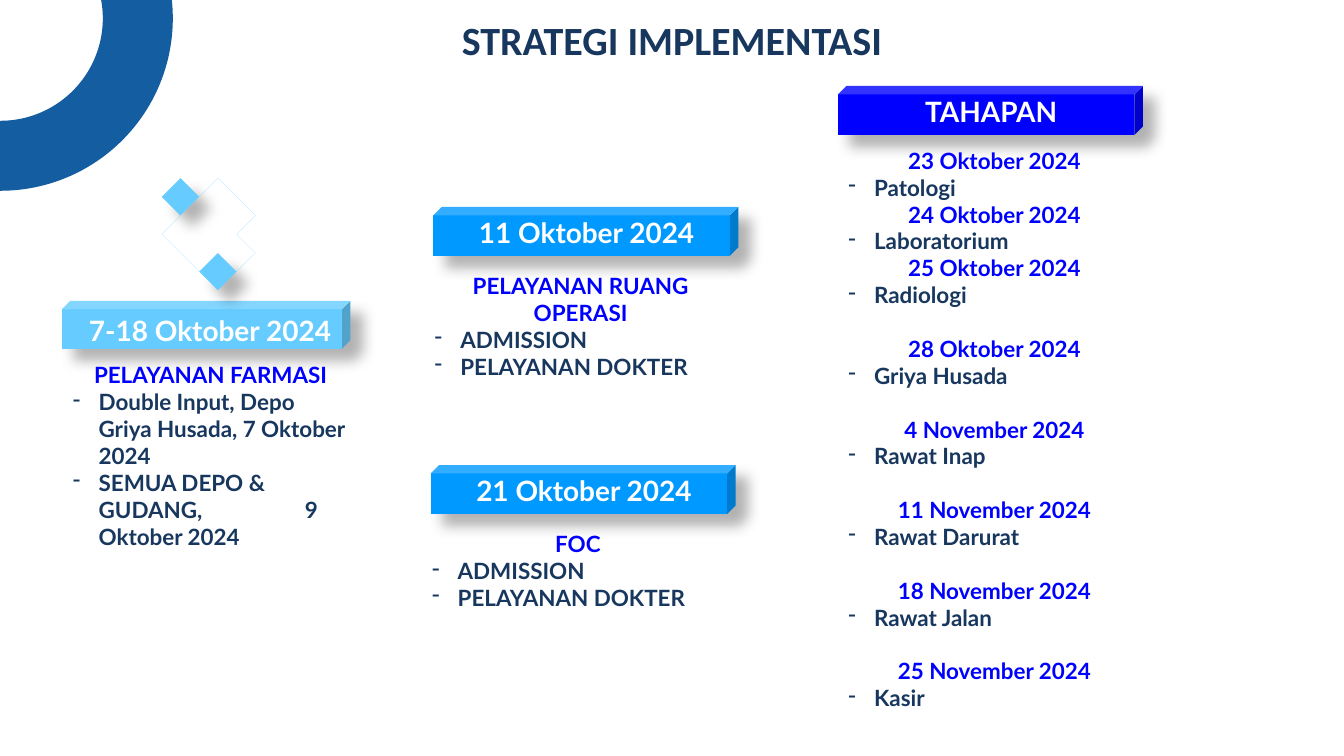
from dataclasses import dataclass
from math import cos, radians, sin

from lxml import etree
from pptx import Presentation
from pptx.dml.color import RGBColor
from pptx.enum.shapes import MSO_SHAPE
from pptx.enum.text import MSO_ANCHOR, MSO_AUTO_SIZE, PP_ALIGN
from pptx.oxml import parse_xml
from pptx.oxml.ns import nsdecls, qn
from pptx.util import Cm, Pt

CUBE, OVAL = MSO_SHAPE.CUBE, MSO_SHAPE.OVAL
LEFT, CENTER = PP_ALIGN.LEFT, PP_ALIGN.CENTER
TOP, GROW = MSO_ANCHOR.TOP, MSO_AUTO_SIZE.SHAPE_TO_FIT_TEXT

NAVY = RGBColor(0x17, 0x37, 0x5E)
RING_BLUE = RGBColor(0x14, 0x5D, 0xA0)
SKY = RGBColor(0x66, 0xCC, 0xFF)
AZURE = RGBColor(0x00, 0x99, 0xFF)
BLUE = RGBColor(0x00, 0x00, 0xFF)
WHITE = RGBColor(0xFF, 0xFF, 0xFF)

BODY_SIZE = 24
LINE_GAP = 28.8
INDENT = Cm(0.97)
TAB_STOP = Cm(8.76)


@dataclass
class Section:
    heading: str
    items: list[str]
    gap: float = 0


@dataclass
class Card:
    label: str
    left: float
    top: float
    color: RGBColor
    sections: list[Section]
    body_dx: float
    body_dy: float
    body_height: float
    width: float = 11.53
    height: float = 1.85
    label_dx: float = 0.41
    label_dy: float = 0.21


SERVICES = ["ADMISSION", "PELAYANAN DOKTER"]
CARDS = [
    Card("7-18 Oktober 2024", 2.34, 11.38, SKY,
         [Section("PELAYANAN FARMASI",
                  ["Double Input, Depo Griya Husada, 7 Oktober 2024",
                   "SEMUA DEPO & GUDANG,\t9 Oktober 2024"])],
         0.17, 2.16, 5.38, width=10.9, height=1.8, label_dx=0.53, label_dy=0.36),
    Card("TAHAPAN", 31.67, 3.25, BLUE,
         [Section("23 Oktober 2024", ["Patologi"]),
          Section("24 Oktober 2024", ["Laboratorium"]),
          Section("25 Oktober 2024", ["Radiologi"]),
          Section("28 Oktober 2024", ["Griya Husada"], LINE_GAP),
          Section("4 November 2024", ["Rawat Inap"], LINE_GAP),
          Section("11 November 2024", ["Rawat Darurat"], LINE_GAP),
          Section("18 November 2024", ["Rawat Jalan"], LINE_GAP),
          Section("25 November 2024", ["Kasir"], LINE_GAP)],
         0.15, 2.18, 22.83),
    Card("11 Oktober 2024", 16.38, 7.82, AZURE,
         [Section("PELAYANAN RUANG OPERASI", SERVICES)], -0.2, 2.35, 3.33),
    Card("21 Oktober 2024", 16.28, 17.58, AZURE,
         [Section("FOC", SERVICES)], -0.2, 2.35, 3.33),
]


def write_text(para, text: str, *, size: float, color: RGBColor, font: str = "Lato",
               align=CENTER, gap: float = 0, bullet: bool = False) -> None:
    """Fill one paragraph and format it."""
    if bullet:
        props = para._p.get_or_add_pPr()
        props.set("marL", str(INDENT))
        props.set("indent", str(-INDENT))
        etree.SubElement(props, qn("a:buChar")).set("char", "-")
        if "\t" in text:
            stops = etree.SubElement(props, qn("a:tabLst"))
            stop = etree.SubElement(stops, qn("a:tab"))
            stop.set("pos", str(TAB_STOP))
            stop.set("algn", "l")
    para.alignment = align
    if gap:
        para.space_before = Pt(gap)
    span = para.add_run()
    span.text = text
    span.font.name = font
    span.font.size = Pt(size)
    span.font.bold = True
    span.font.color.rgb = color


def add_frame(slide, left: float, top: float, width: float, height: float):
    """Add a wrapping text box and return its text frame."""
    box = slide.shapes.add_textbox(Cm(left), Cm(top), Cm(width), Cm(height))
    box.text_frame.word_wrap = True
    box.text_frame.auto_size = GROW
    return box.text_frame


def paint(shape, color: RGBColor) -> None:
    """Give a shape a plain fill and a soft drop shadow."""
    shape.fill.solid()
    shape.fill.fore_color.rgb = color
    shape.line.fill.background()
    shape.shadow.inherit = False
    effects = shape._element.spPr.find(qn("a:effectLst"))
    effects.append(parse_xml(
        f'<a:outerShdw {nsdecls("a")} blurRad="{Pt(15)}" dist="{Pt(18)}" dir="2700000" '
        'algn="tl" rotWithShape="0"><a:srgbClr val="000000"><a:alpha val="30000"/>'
        '</a:srgbClr></a:outerShdw>'))


def add_card(slide, card: Card) -> None:
    cube = slide.shapes.add_shape(CUBE, Cm(card.left), Cm(card.top),
                                  Cm(card.width), Cm(card.height))
    cube.adjustments[0] = 0.173
    paint(cube, card.color)

    body = add_frame(slide, card.left + card.body_dx, card.top + card.body_dy,
                     card.width, card.body_height)
    para = body.paragraphs[0]
    for number, section in enumerate(card.sections):
        if number:
            para = body.add_paragraph()
        write_text(para, section.heading, size=BODY_SIZE, color=BLUE, gap=section.gap)
        for item in section.items:
            write_text(body.add_paragraph(), item, size=BODY_SIZE, color=NAVY,
                       align=LEFT, bullet=True)

    label = add_frame(slide, card.left + card.label_dx, card.top + card.label_dy,
                      card.width - 0.76, 1.55)
    write_text(label.paragraphs[0], card.label, size=30, color=WHITE)


def arc(radius: float, start: int, stop: int, step: int) -> list[tuple[float, float]]:
    """Points on an arc around the pin's centre, in centimetres."""
    return [(1.68 + radius * cos(radians(angle)), 1.9 + radius * sin(radians(angle)))
            for angle in range(start, stop, step)]


def add_pin(slide, left: float, top: float) -> None:
    """A teardrop with a round hole, its tip turned to point down."""
    outline = [(3.43, 0), (3.3, 1.04)] + arc(1.68, 0, 271, 5) + [(2.53, 0.13)]
    hole = arc(1.44, 360, 0, -5)
    builder = slide.shapes.build_freeform(*outline[0], scale=Cm(1))
    builder.add_line_segments(outline[1:])
    builder.move_to(*hole[0])
    builder.add_line_segments(hole[1:])
    pin = builder.convert_to_shape(Cm(left), Cm(top))
    pin.rotation = 135
    paint(pin, SKY)


def main() -> None:
    deck = Presentation()
    deck.slide_width, deck.slide_height = Cm(50.8), Cm(28.58)
    slide = deck.slides.add_slide(deck.slide_layouts[5])

    # Corner ring
    ring = slide.shapes.add_shape(OVAL, Cm(-5.18), Cm(-4.5), Cm(10.39), Cm(10.39))
    ring.fill.background()
    ring.line.color.rgb = RING_BLUE
    ring.line.width = Pt(75)
    ring.shadow.inherit = False

    # Title
    title = slide.shapes.title
    title.left, title.top, title.width, title.height = Cm(0.38), Cm(0.46), Cm(50.04), Cm(2.82)
    title.text_frame.vertical_anchor = TOP
    write_text(title.text_frame.paragraphs[0], "STRATEGI IMPLEMENTASI",
               size=42.9, color=NAVY, font="Calibri")

    # Schedule cards and the pin above the first one
    for card in CARDS:
        add_card(slide, card)
    add_pin(slide, 6.38, 6.5)

    deck.save("out.pptx")


if __name__ == "__main__":
    main()
